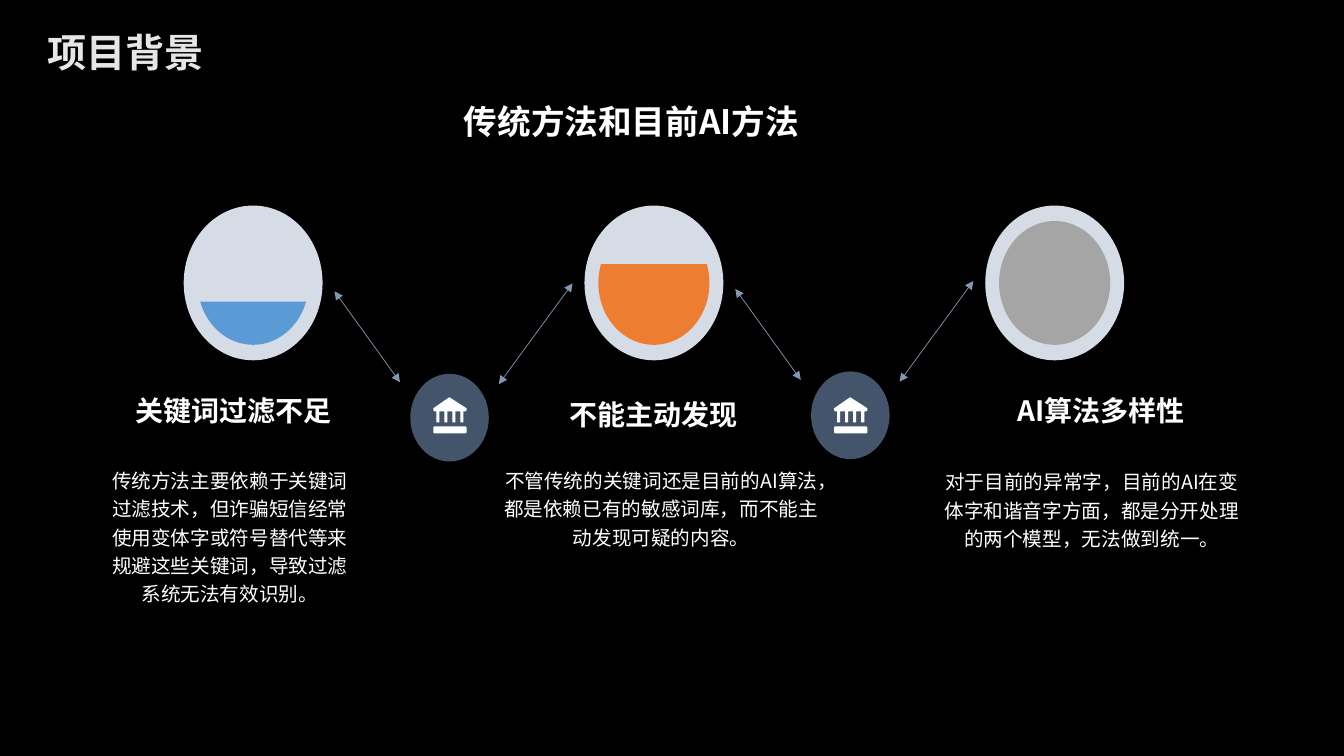
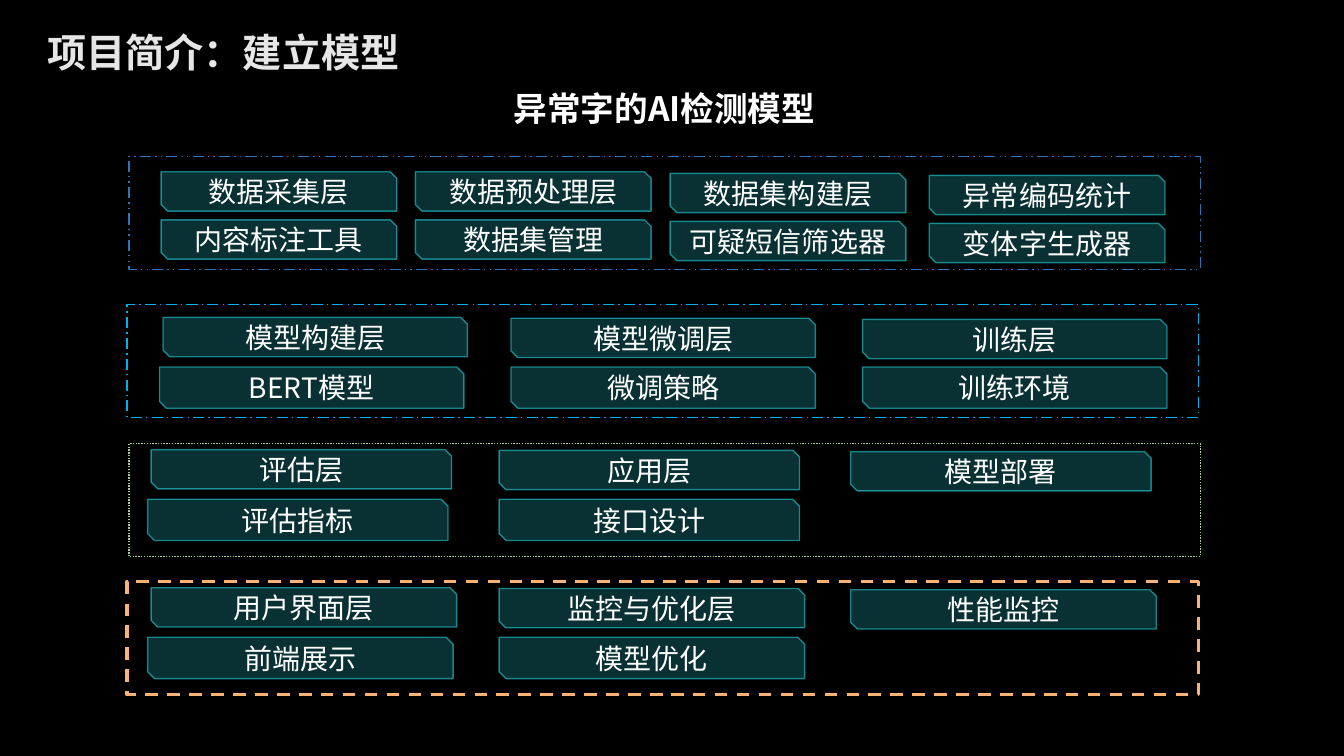
from pptx import Presentation
from pptx.dml.color import RGBColor
from pptx.enum.dml import MSO_LINE
from pptx.enum.shapes import MSO_CONNECTOR, MSO_SHAPE
from pptx.enum.text import MSO_ANCHOR, PP_ALIGN
from pptx.oxml.ns import qn
from pptx.util import Cm, Pt
from lxml import etree

RECT, OVAL, CHORD = MSO_SHAPE.RECTANGLE, MSO_SHAPE.OVAL, MSO_SHAPE.CHORD
SNIPPED = MSO_SHAPE.SNIP_2_DIAG_RECTANGLE
STRAIGHT = MSO_CONNECTOR.STRAIGHT
DASH_DOT_DOT, LONG_DASH_DOT = MSO_LINE.DASH_DOT_DOT, MSO_LINE.LONG_DASH_DOT
ROUND_DOT, DASH = MSO_LINE.ROUND_DOT, MSO_LINE.DASH
LEFT, CENTER = PP_ALIGN.LEFT, PP_ALIGN.CENTER
TOP, MIDDLE = MSO_ANCHOR.TOP, MSO_ANCHOR.MIDDLE

THEME = {
    "font": "Noto Sans CJK SC",
    "bg": "000000", "ring": "D6DCE5", "arrow": "8497B0", "badge": "44546A",
    "white": "FFFFFF", "cell": "2EF4FE",
    "levels": ("5B9BD5", "ED7D31", "A5A5A5"),
    "frames": ("2E75B6", "00B0F0", "A9D18E", "FBB276"),
    # style: font attributes, colour, paragraph attributes, anchor
    "title": ({"size": Pt(28), "bold": True}, "E7E6E6", {"alignment": LEFT}, MIDDLE),
    "subtitle": ({"size": Pt(24), "bold": True}, "FFFFFF", {"alignment": CENTER}, TOP),
    "heading": ({"size": Pt(20), "bold": True}, "FFFFFF", {"alignment": CENTER}, TOP),
    "body": ({"size": Pt(14)}, "FFFFFF", {"alignment": CENTER, "line_spacing": 1.2}, TOP),
    "label": ({"size": Pt(20)}, "FFFFFF", {"alignment": CENTER}, MIDDLE),
}


def write(sp, text, style):
    font, color, para, anchor = THEME[style]
    tf = sp.text_frame
    tf.word_wrap = True
    tf.vertical_anchor = anchor
    p = tf.paragraphs[0]
    r = p.add_run()
    r.text = text
    for target, values in ((p, para), (r.font, {"name": THEME["font"], **font})):
        for name, value in values.items():
            setattr(target, name, value)
    r.font.color.rgb = RGBColor.from_string(color)
    ea = etree.SubElement(r.font._element, qn("a:ea"))
    ea.set("typeface", THEME["font"])


def paint(sp, fill=None, line=None, width=1):
    sp.shadow.inherit = False
    for target, color in ((sp.fill, fill), (sp.line.fill, line)):
        if color:
            target.solid()
            target.fore_color.rgb = RGBColor.from_string(color)
        else:
            target.background()
    if line:
        sp.line.width = Pt(width)
    return sp


prs = Presentation()
prs.slide_width, prs.slide_height = Cm(33.87), Cm(19.05)

# Shared background, titles and subtitles
bg = prs.slide_master.background.fill
bg.solid()
bg.fore_color.rgb = RGBColor.from_string(THEME["bg"])

slides = []
for title, subtitle, left, top in (
    ("项目背景", "传统方法和目前AI方法", 8.64, 2.41),
    ("项目简介：建立模型", "异常字的AI检测模型", 9.47, 2.08),
):
    s = prs.slides.add_slide(prs.slide_layouts[6])
    write(s.shapes.add_textbox(Cm(0.94), Cm(0.58), Cm(12.35), Cm(1.45)), title, "title")
    write(s.shapes.add_textbox(Cm(left), Cm(top), Cm(14.55), Cm(1.27)), subtitle, "subtitle")
    slides.append(s)
background, model = slides

# Slide 1: three problems, each with a filled gauge
PITCH = 10.1
problems = (
    ("关键词过滤不足", (2.54, 9.8, 6.71),
     "传统方法主要依赖于关键词过滤技术，但诈骗短信经常使用变体字或符号替代等来规避这些关键词，导致过滤系统无法有效识别。",
     (2.34, 11.58, 6.91), (11.68, 96.32)),
    ("不能主动发现", (13, 9.88, 6.96),
     "不管传统的关键词还是目前的AI算法，都是依赖已有的敏感词库，而不能主动发现可疑的内容。",
     (12.32, 11.58, 8.69), (204.32, 119.68)),
    ("AI算法多样性", (23.5, 9.8, 8.51),
     "对于目前的异常字，目前的AI在变体字和谐音字方面，都是分开处理的两个模型，无法做到统一。",
     (23.5, 11.61, 8.03), (162, 162)),
)
for i, (heading, heading_box, body, body_box, angles) in enumerate(problems):
    x = 4.63 + i * PITCH
    sp = background.shapes.add_shape(OVAL, Cm(x), Cm(5.18), Cm(3.5), Cm(3.9))
    paint(sp, THEME["ring"])
    sp = background.shapes.add_shape(CHORD, Cm(x + 0.35), Cm(5.57), Cm(2.8), Cm(3.12))
    sp.adjustments[0], sp.adjustments[1] = angles
    paint(sp, THEME["levels"][i])
    for text, box, height, style in ((heading, heading_box, 1.17, "heading"),
                                     (body, body_box, 4.8, "body")):
        left, top, width = map(Cm, box)
        write(background.shapes.add_textbox(left, top, width, Cm(height)), text, style)

# Slide 1: badges between the gauges, with arrows and a columned building
roof = [(0, 11), (16.5, 0), (33, 11), (33, 13), (32, 14)]
for right in (30, 22, 14, 6):
    roof += [(right, 14), (right, 25), (right - 3, 25), (right - 3, 14)]
roof += [(1, 14), (0, 13)]
base = [(0, 30), (1, 29), (32, 29), (33, 30), (33, 35), (32, 36), (1, 36), (0, 35)]

for i in range(2):
    dx, dy = i * PITCH, i * -0.06
    for x1, y1, x2, y2 in ((8.43, 7.34, 10.08, 9.63), (14.43, 7.14, 12.57, 9.68)):
        arrow = background.shapes.add_connector(
            STRAIGHT, Cm(x1 + dx), Cm(y1 + dy), Cm(x2 + dx), Cm(y2 + dy))
        arrow.line.color.rgb = RGBColor.from_string(THEME["arrow"])
        arrow.line.width = Pt(0.5)
        for end in ("a:headEnd", "a:tailEnd"):
            etree.SubElement(arrow.line._get_or_add_ln(), qn(end)).set("type", "triangle")
        etree.SubElement(arrow._element.spPr, qn("a:effectLst"))
    badge = background.shapes.add_shape(OVAL, Cm(10.34 + dx), Cm(9.42 + dy), Cm(1.98), Cm(2.21))
    paint(badge, THEME["badge"])
    outline = background.shapes.build_freeform(*roof[0], scale=Cm(2.54) / 100)
    outline.add_line_segments(roof[1:], close=True)
    outline.move_to(*base[0])
    outline.add_line_segments(base[1:], close=True)
    paint(outline.convert_to_shape(Cm(10.92 + dx), Cm(10.01)), THEME["white"])

# Slide 2: layers; a grid is column offsets, column drops, second row shift and height
four = ((0, 6.41, 12.83, 19.36), (0, 0, 0.04, 0.09), (0, 1.21), 0.99)
three = ((0, 8.77, 17.63), (0, 0.02, 0.05), (-0.09, 1.25), 1.04)
layers = (
    ((3.25, 3.94), DASH_DOT_DOT, 1, four, (4.06, 4.33, 5.94),
     (("数据采集层", "数据预处理层", "数据集构建层", "异常编码统计"),
      ("内容标注工具", "数据集管理", "可疑短信筛选器", "变体字生成器"))),
    ((3.2, 7.67), LONG_DASH_DOT, 1, three, (4.11, 8, 7.67),
     (("模型构建层", "模型微调层", "训练层"), ("BERT模型", "微调策略", "训练环境"))),
    ((3.25, 11.18), ROUND_DOT, 1, three, (3.81, 11.33, 7.57),
     (("评估层", "应用层", "模型部署"), ("评估指标", "接口设计"))),
    ((3.2, 14.66), DASH, 2.25, three, (3.81, 14.81, 7.7),
     (("用户界面层", "监控与优化层", "性能监控"), ("前端展示", "模型优化"))),
)
for color, layer in zip(THEME["frames"], layers):
    (left, top), dash, weight, grid, (x0, y0, width), rows = layer
    offsets, drops, (shift, step), low_height = grid
    frame = model.shapes.add_shape(RECT, Cm(left), Cm(top), Cm(27), Cm(2.85))
    paint(frame, line=color, width=weight).line.dash_style = dash
    for row, labels in enumerate(rows):
        for col, label in enumerate(labels):
            x = x0 + offsets[col] + (shift if row and not col else 0)
            # The second row of a three-column layer is level
            drop = 0 if row and grid is three else drops[col]
            height = low_height if row else 0.99
            sp = model.shapes.add_shape(
                SNIPPED, Cm(x), Cm(y0 + drop + row * step), Cm(width), Cm(height))
            paint(sp, THEME["cell"], THEME["cell"])
            colors = sp._element.spPr.iter(qn("a:srgbClr"))
            for clr, alpha in zip(colors, ("20000", "50000")):
                etree.SubElement(clr, qn("a:alpha")).set("val", alpha)
            write(sp, label, "label")
            for side in ("left", "top", "right", "bottom"):
                setattr(sp.text_frame, "margin_" + side, 0)

prs.save("out.pptx")
